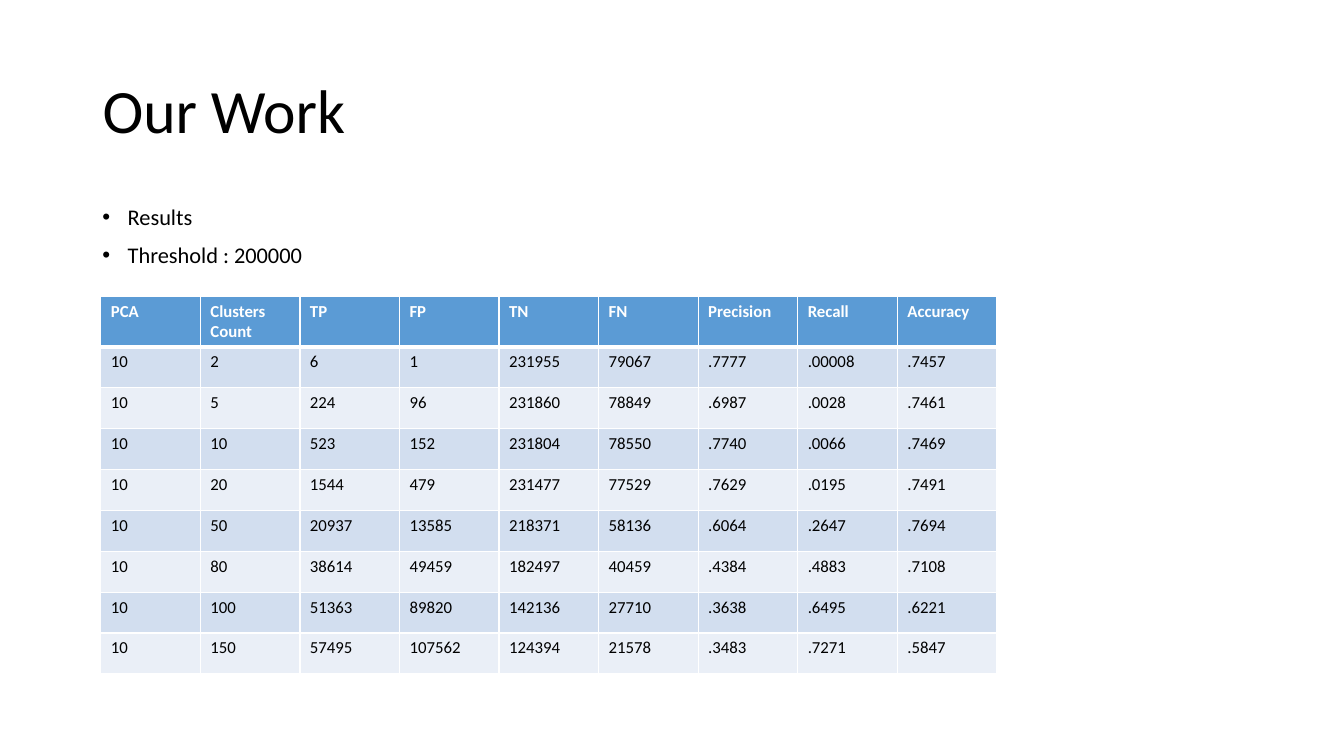
from dataclasses import dataclass

from lxml import etree
from pptx import Presentation
from pptx.dml.color import RGBColor
from pptx.enum.text import MSO_ANCHOR, PP_ALIGN
from pptx.oxml.ns import qn
from pptx.util import Cm, Pt

LEFT = PP_ALIGN.LEFT
MIDDLE, TOP = MSO_ANCHOR.MIDDLE, MSO_ANCHOR.TOP
TITLE_ONLY = 5


@dataclass(frozen=True)
class Theme:
    font: str = "Calibri"
    text: str = "000000"
    white: str = "FFFFFF"
    header: str = "5B9BD5"
    bands: tuple[str, str] = ("D2DEEF", "EAEFF7")
    title_size: int = 44
    body_size: int = 16
    table_size: int = 12
    border: float = 1
    header_border: float = 3


@dataclass(frozen=True)
class Box:
    left: float
    top: float
    width: float
    height: float

    def lengths(self) -> list[Cm]:
        return [Cm(v) for v in (self.left, self.top, self.width, self.height)]


@dataclass(frozen=True)
class Result:
    clusters: str
    tp: str
    fp: str
    tn: str
    fn: str
    precision: str
    recall: str
    accuracy: str
    pca: str = "10"

    def cells(self) -> list[str]:
        return [self.pca, self.clusters, self.tp, self.fp, self.tn, self.fn,
                self.precision, self.recall, self.accuracy]


THEME = Theme()
TITLE_BOX = Box(2.33, 1.01, 29.21, 3.68)
BODY_BOX = Box(2.33, 5.07, 29.21, 12.09)
TABLE_LEFT, TABLE_TOP = 2.54, 7.46
COLUMN_WIDTH, HEADER_HEIGHT, ROW_HEIGHT = 2.51, 1.28, 1.03

HEADINGS = ["PCA", "Clusters Count", "TP", "FP", "TN", "FN",
            "Precision", "Recall", "Accuracy"]
RESULTS = [
    Result("2", "6", "1", "231955", "79067", ".7777", ".00008", ".7457"),
    Result("5", "224", "96", "231860", "78849", ".6987", ".0028", ".7461"),
    Result("10", "523", "152", "231804", "78550", ".7740", ".0066", ".7469"),
    Result("20", "1544", "479", "231477", "77529", ".7629", ".0195", ".7491"),
    Result("50", "20937", "13585", "218371", "58136", ".6064", ".2647", ".7694"),
    Result("80", "38614", "49459", "182497", "40459", ".4384", ".4883", ".7108"),
    Result("100", "51363", "89820", "142136", "27710", ".3638", ".6495", ".6221"),
    Result("150", "57495", "107562", "124394", "21578", ".3483", ".7271", ".5847"),
]


def add_bullet(p) -> None:
    pPr = p._p.get_or_add_pPr()
    pPr.set("marL", str(Cm(0.64)))
    pPr.set("indent", str(Cm(-0.64)))
    etree.SubElement(pPr, qn("a:buFont"), typeface="Arial")
    etree.SubElement(pPr, qn("a:buChar"), char="•")


def write(tf, *lines: str, size: float, color: str = THEME.text, bold: bool = False,
          bullet: bool = False, spacing: float = 1.0, before: float = 0) -> None:
    """Fill a text frame with one paragraph per line."""
    tf.word_wrap = True
    for i, line in enumerate(lines):
        p = tf.add_paragraph() if i else tf.paragraphs[0]
        if bullet:
            add_bullet(p)
        p.alignment = LEFT
        p.line_spacing = spacing
        p.space_before = Pt(before if i else 0)
        r = p.add_run()
        r.text = line
        r.font.name = THEME.font
        r.font.size = Pt(size)
        r.font.bold = bold
        r.font.color.rgb = RGBColor.from_string(color)


def add_title(slide, text: str) -> None:
    title = slide.shapes.title
    title.left, title.top, title.width, title.height = TITLE_BOX.lengths()
    title.text_frame.vertical_anchor = MIDDLE
    write(title.text_frame, text, size=THEME.title_size, spacing=0.9)


def add_body(slide, *lines: str) -> None:
    tf = slide.shapes.add_textbox(*BODY_BOX.lengths()).text_frame
    tf.vertical_anchor = TOP
    write(tf, *lines, size=THEME.body_size, bullet=True, spacing=0.9, before=10)


def set_borders(cell, top: float, bottom: float) -> None:
    tcPr = cell._tc.get_or_add_tcPr()
    widths = {"lnL": THEME.border, "lnR": THEME.border, "lnT": top, "lnB": bottom}
    for tag, width in widths.items():
        ln = etree.SubElement(tcPr, qn(f"a:{tag}"), w=str(Pt(width)))
        fill = etree.SubElement(ln, qn("a:solidFill"))
        etree.SubElement(fill, qn("a:srgbClr"), val=THEME.white)


def add_results_table(slide) -> None:
    rows = [HEADINGS] + [result.cells() for result in RESULTS]
    box = Box(TABLE_LEFT, TABLE_TOP, COLUMN_WIDTH * len(HEADINGS),
              HEADER_HEIGHT + ROW_HEIGHT * len(RESULTS))
    table = slide.shapes.add_table(len(rows), len(HEADINGS), *box.lengths()).table
    for column in table.columns:
        column.width = Cm(COLUMN_WIDTH)
    for i, texts in enumerate(rows):
        header = i == 0
        table.rows[i].height = Cm(HEADER_HEIGHT if header else ROW_HEIGHT)
        fill = THEME.header if header else THEME.bands[(i - 1) % 2]
        for cell, text in zip(table.rows[i].cells, texts):
            set_borders(cell,
                        top=THEME.header_border if i == 1 else THEME.border,
                        bottom=THEME.header_border if header else THEME.border)
            cell.fill.solid()
            cell.fill.fore_color.rgb = RGBColor.from_string(fill)
            write(cell.text_frame, text, size=THEME.table_size, bold=header,
                  color=THEME.white if header else THEME.text)


def main() -> None:
    prs = Presentation()
    prs.slide_width, prs.slide_height = Cm(33.87), Cm(19.05)
    slide = prs.slides.add_slide(prs.slide_layouts[TITLE_ONLY])
    add_title(slide, "Our Work")
    add_body(slide, "Results", "Threshold : 200000")
    add_results_table(slide)
    prs.save("out.pptx")


if __name__ == "__main__":
    main()
